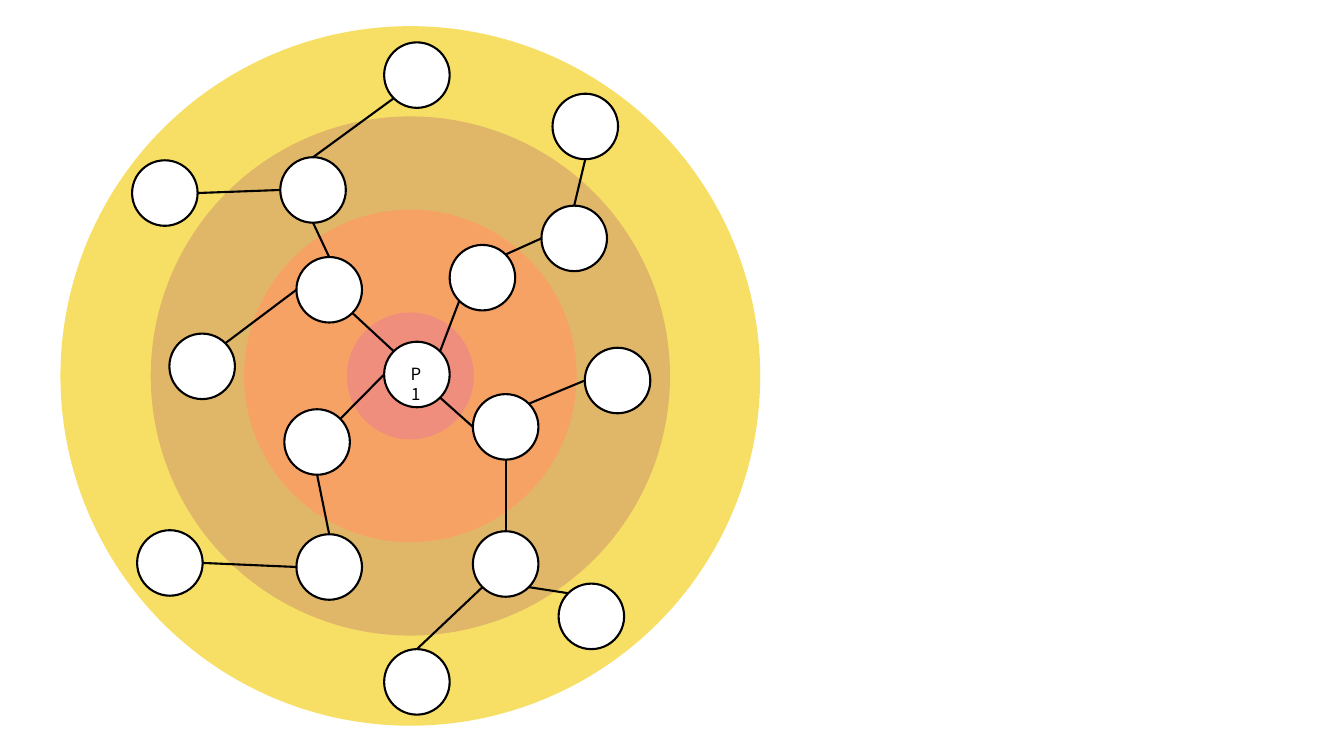
from math import cos, radians, sin

from lxml.etree import SubElement
from pptx import Presentation
from pptx.dml.color import RGBColor
from pptx.enum.shapes import MSO_CONNECTOR as CONNECTOR, MSO_SHAPE as SHAPE
from pptx.enum.text import PP_ALIGN as ALIGN
from pptx.oxml.ns import qn
from pptx.util import Pt

PX = 9144
SLIDE_SIZE = (1333, 750)
BLACK = RGBColor(0x00, 0x00, 0x00)
WHITE = RGBColor(0xFF, 0xFF, 0xFF)
YELLOW = RGBColor(0xF7, 0xDF, 0x65)
TAN = RGBColor(0xE0, 0xB7, 0x68)
ORANGE = RGBColor(0xF7, 0xA2, 0x65)
PINK = RGBColor(0xF0, 0x8E, 0x7D)
FONT = "Noto Sans CJK KR"
LINE_WIDTH = Pt(1.5)

RING_CENTER = (407, 373)
RINGS = [(694, YELLOW), (515, TAN), (330, ORANGE), (126, PINK)]

NODE_SIZE = 65
LABEL = "P1"
LABEL_BOX = (393, 356, 39, 30)
HUB = (381, 339)
NODES = {
    "inner southwest": (282, 406),
    "inner southeast": (469, 391),
    "inner northeast": (446, 243),
    "inner northwest": (294, 255),
    "middle northwest": (278, 156),
    "middle northeast": (537, 204),
    "middle east": (580, 345),
    "middle southeast": (469, 527),
    "middle west": (168, 331),
    "middle southwest": (294, 530),
    "outer north": (381, 42),
    "outer northeast": (548, 93),
    "outer northwest": (131, 159),
    "outer southwest": (136, 526),
    "outer southeast": (554, 579),
    "outer south": (381, 644),
}
ANGLES = {"E": 0, "SE": 45, "S": 90, "SW": 135, "W": 180, "NW": 225, "N": 270, "NE": 315}
LINKS = [
    ("inner northwest", "SE", "hub", "NW"),
    ("hub", "W", "inner southwest", "NE"),
    ("inner northwest", "N", "middle northwest", "S"),
    ("hub", "NE", "inner northeast", "SW"),
    ("inner northeast", "NE", "middle northeast", "W"),
    ("middle northeast", "N", "outer northeast", "S"),
    ("middle northwest", "N", "outer north", "SW"),
    ("middle northwest", "W", "outer northwest", "E"),
    ("inner northwest", "W", "middle west", "NE"),
    ("inner southwest", "S", "middle southwest", "N"),
    ("middle southwest", "W", "outer southwest", "E"),
    ("hub", "SE", "inner southeast", "W"),
    ("inner southeast", "NE", "middle east", "W"),
    ("inner southeast", "S", "middle southeast", "N"),
    ("middle southeast", "SW", "outer south", "N"),
    ("middle southeast", "SE", "outer southeast", "NW"),
]


def emu(*lengths):
    return [round(length * PX) for length in lengths]


def add_circle(slide, left, top, size, color):
    shape = slide.shapes.add_shape(SHAPE.OVAL, *emu(left, top, size, size))
    shape.shadow.inherit = False
    shape.fill.solid()
    shape.fill.fore_color.rgb = color
    return shape


def add_ring(slide, size, color):
    center_x, center_y = RING_CENTER
    ring = add_circle(slide, center_x - size / 2, center_y - size / 2, size, color)
    ring.line.fill.background()


def add_node(slide, left, top):
    node = add_circle(slide, left, top, NODE_SIZE, WHITE)
    node.line.color.rgb = BLACK
    node.line.width = LINE_WIDTH


def rim_point(name, side):
    left, top = HUB if name == "hub" else NODES[name]
    angle = radians(ANGLES[side])
    radius = NODE_SIZE / 2
    return emu(left + radius * (1 + cos(angle)), top + radius * (1 + sin(angle)))


def add_link(slide, start, start_side, end, end_side):
    connector = slide.shapes.add_connector(
        CONNECTOR.STRAIGHT, *rim_point(start, start_side), *rim_point(end, end_side)
    )
    connector.line.color.rgb = BLACK
    connector.line.width = LINE_WIDTH
    SubElement(connector._element.spPr, qn("a:effectLst"))


def add_label(slide):
    text_frame = slide.shapes.add_textbox(*emu(*LABEL_BOX)).text_frame
    text_frame.word_wrap = True
    paragraph = text_frame.paragraphs[0]
    paragraph.text = LABEL
    paragraph.alignment = ALIGN.CENTER
    paragraph.font.name = FONT
    paragraph.font.size = Pt(12)
    paragraph.font.color.rgb = BLACK


def main():
    presentation = Presentation()
    presentation.slide_width, presentation.slide_height = emu(*SLIDE_SIZE)
    slide = presentation.slides.add_slide(presentation.slide_layouts[6])
    for size, color in RINGS:
        add_ring(slide, size, color)
    for left, top in NODES.values():
        add_node(slide, left, top)
    for link in LINKS:
        add_link(slide, *link)
    add_node(slide, *HUB)
    add_label(slide)
    presentation.save("out.pptx")


if __name__ == "__main__":
    main()
